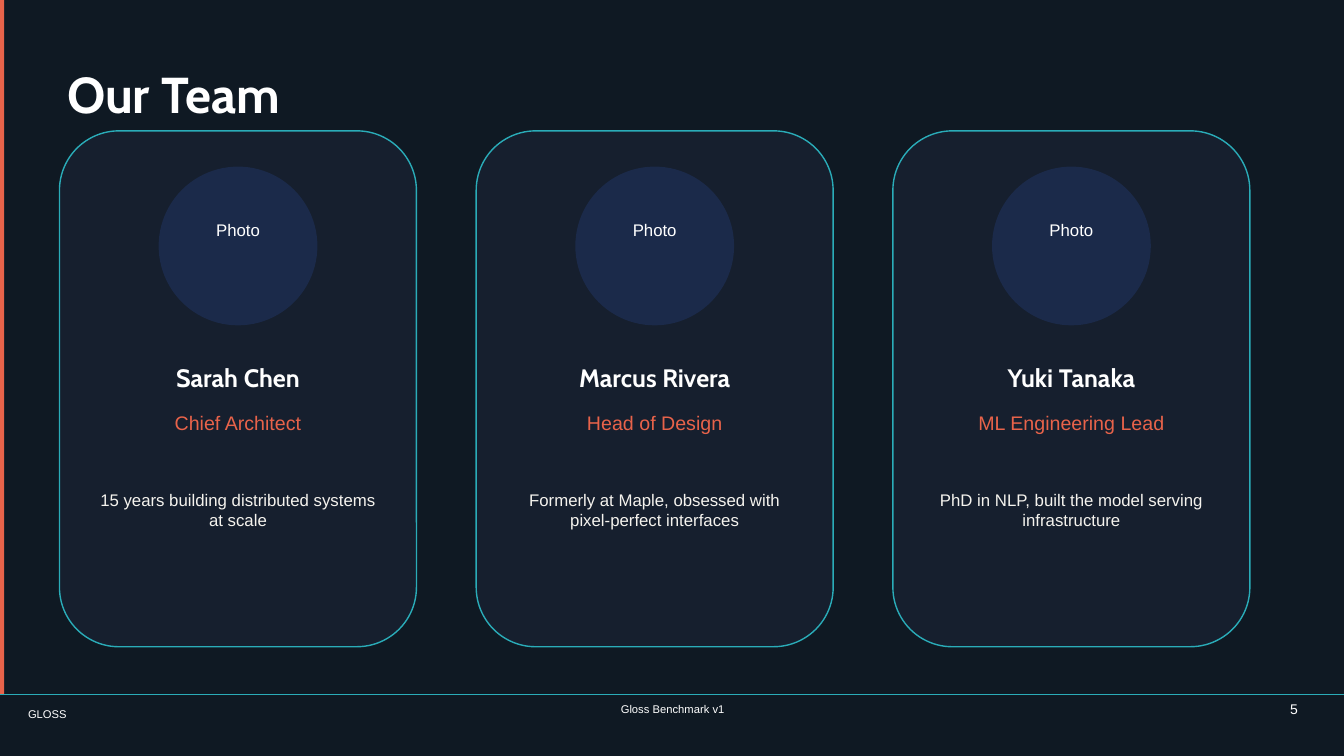
from pptx import Presentation
from pptx.dml.color import RGBColor
from pptx.enum.shapes import MSO_CONNECTOR, MSO_SHAPE
from pptx.enum.text import MSO_ANCHOR, PP_ALIGN
from pptx.util import Pt
from lxml import etree

RECTANGLE, ROUNDED, OVAL = MSO_SHAPE.RECTANGLE, MSO_SHAPE.ROUNDED_RECTANGLE, MSO_SHAPE.OVAL
STRAIGHT = MSO_CONNECTOR.STRAIGHT
TOP, MIDDLE = MSO_ANCHOR.TOP, MSO_ANCHOR.MIDDLE
LEFT, CENTER, RIGHT = PP_ALIGN.LEFT, PP_ALIGN.CENTER, PP_ALIGN.RIGHT
DRAWING = "{http://schemas.openxmlformats.org/drawingml/2006/main}"

COLORS = {
    "night": "0F1923",
    "coral": "E8634A",
    "teal": "2AACB8",
    "card": "161F2E",
    "portrait": "1B2A4A",
    "white": "FFFFFF",
    "cream": "F5F3EE",
}

# Slide and card grid, in points
WIDTH, HEIGHT = 960, 540
FOOTER_TOP = 496
CARD_LEFT, CARD_TOP = 42.5, 93.5
CARD_WIDTH, CARD_HEIGHT = 255, 368.5
CARD_PITCH = 297.65
PORTRAIT_SIZE = 113.4

TEAM = [
    ("Sarah Chen", "Chief Architect", "15 years building distributed systems at scale"),
    ("Marcus Rivera", "Head of Design",
     "Formerly at Maple, obsessed with pixel-perfect interfaces"),
    ("Yuki Tanaka", "ML Engineering Lead",
     "PhD in NLP, built the model serving infrastructure"),
]


def color(name):
    return RGBColor.from_string(COLORS[name])


def add_panel(shapes, kind, left, top, width, height, fill, outline=None):
    panel = shapes.add_shape(kind, Pt(left), Pt(top), Pt(width), Pt(height))
    panel.shadow.inherit = False
    panel.fill.solid()
    panel.fill.fore_color.rgb = color(fill)
    if outline:
        panel.line.color.rgb = color(outline)
        panel.line.width = Pt(1)
    else:
        panel.line.fill.background()


def add_rule(shapes, top, width, stroke):
    rule = shapes.add_connector(STRAIGHT, Pt(0), Pt(top), Pt(width), Pt(top))
    rule.line.color.rgb = color(stroke)
    rule.line.width = Pt(0.5)
    etree.SubElement(rule._element.spPr, DRAWING + "effectLst")


def add_label(shapes, text, left, top, width, height, size, ink="white",
              font="Arial", bold=False, align=CENTER, anchor=MIDDLE):
    box = shapes.add_textbox(Pt(left), Pt(top), Pt(width), Pt(height))
    frame_format = {"word_wrap": True, "vertical_anchor": anchor, "margin_left": 0,
                    "margin_right": 0, "margin_top": 0, "margin_bottom": 0}
    for name, value in frame_format.items():
        setattr(box.text_frame, name, value)
    para = box.text_frame.paragraphs[0]
    para.alignment = align
    span = para.add_run()
    span.text = text
    for name, value in {"name": font, "size": Pt(size), "bold": bold}.items():
        setattr(span.font, name, value)
    span.font.color.rgb = color(ink)


def add_member(page, left, name, role, bio):
    shapes = page.shapes.add_group_shape().shapes
    add_panel(shapes, ROUNDED, left, CARD_TOP, CARD_WIDTH, CARD_HEIGHT, "card", "teal")

    def centered(width):
        return left + (CARD_WIDTH - width) / 2

    portrait_left = centered(PORTRAIT_SIZE)
    add_panel(shapes, OVAL, portrait_left, 119, PORTRAIT_SIZE, PORTRAIT_SIZE, "portrait")
    add_label(shapes, "Photo", portrait_left, 147.4, PORTRAIT_SIZE, 34, 12)
    add_label(shapes, name, centered(226.8), 255.1, 226.8, 28.35, 18,
              font="Cabin", bold=True)
    add_label(shapes, role, centered(226.8), 289.1, 226.8, 25.5, 14, "coral")
    add_label(shapes, bio, centered(204), 328.8, 204, 70.9, 12, "cream")


def main():
    deck = Presentation()
    deck.slide_width, deck.slide_height = Pt(WIDTH), Pt(HEIGHT)
    page = deck.slides.add_slide(deck.slide_layouts[6])
    shapes = page.shapes

    # Backdrop, accent bar and footer rule
    page.background.fill.solid()
    page.background.fill.fore_color.rgb = color("night")
    add_panel(shapes, RECTANGLE, 0, 0, WIDTH, HEIGHT, "night")
    add_panel(shapes, RECTANGLE, 0, 0, 3, FOOTER_TOP, "coral")
    add_rule(shapes, FOOTER_TOP, WIDTH, "teal")

    # Title
    add_label(shapes, "Our Team", 48, 21.6, 864, 90, 36,
              font="Cabin", bold=True, align=LEFT)

    # Team cards
    for index, member in enumerate(TEAM):
        add_member(page, CARD_LEFT + index * CARD_PITCH, *member)

    # Footer
    add_label(shapes, "GLOSS", 20, 502, 142, 16, 8, align=LEFT)
    add_label(shapes, "Gloss Benchmark v1", 317.5, 502, 326, 14.2, 8, anchor=TOP)
    add_label(shapes, "5", 893, 500.4, 34, 17, 10, align=RIGHT, anchor=TOP)

    deck.save("out.pptx")


if __name__ == "__main__":
    main()
